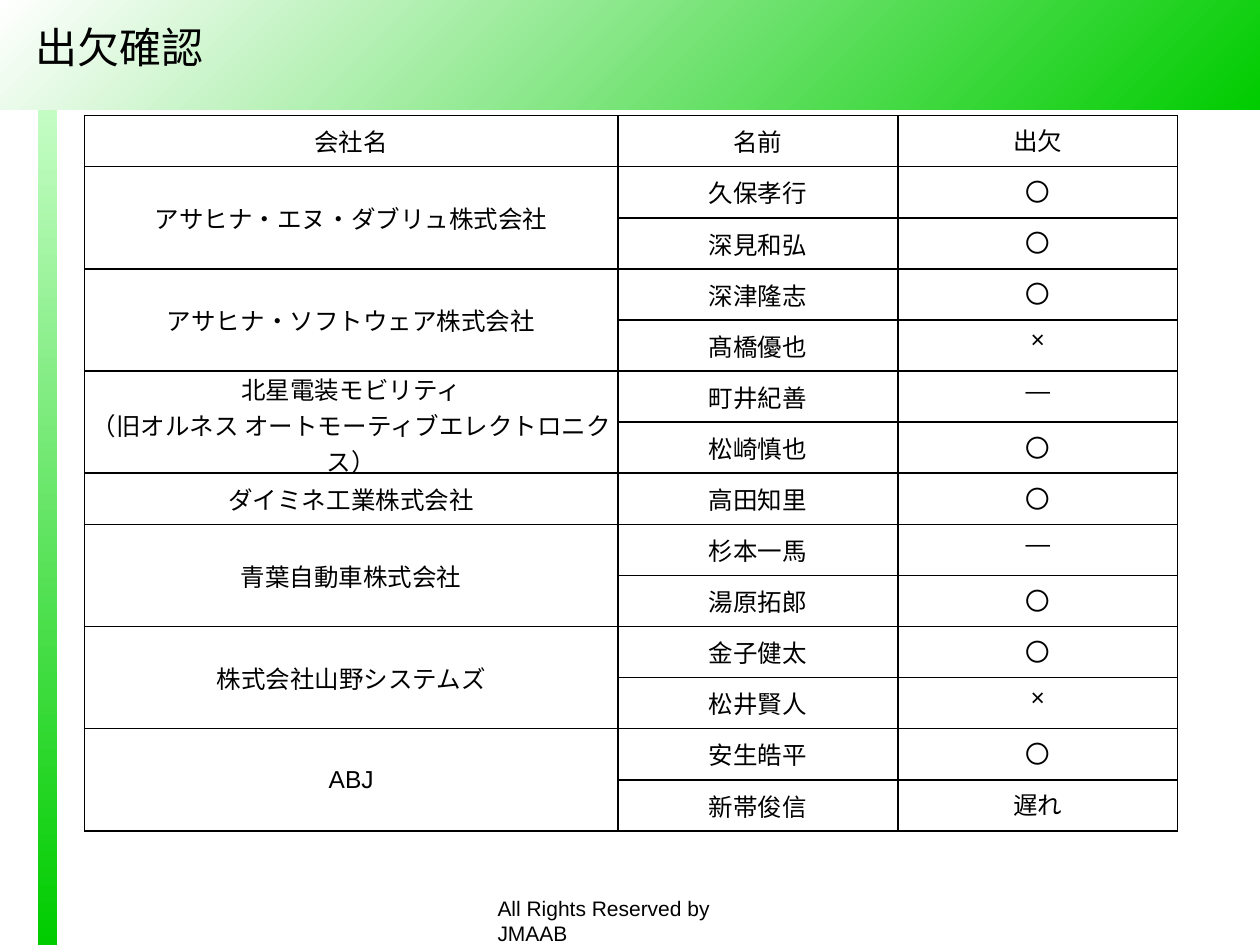
import pptx
import pptx.util
import pptx.dml.color
import pptx.enum.shapes
import pptx.enum.text
import pptx.oxml
import pptx.oxml.ns

Cm = pptx.util.Cm
ANCHOR = pptx.enum.text.MSO_ANCHOR
SANS = "Noto Sans CJK JP"
HEADS = ["会社名", "名前", "出欠"]
COMPANIES = [
    (["アサヒナ・エヌ・ダブリュ株式会社"], [("久保孝行", "〇"), ("深見和弘", "〇")]),
    (["アサヒナ・ソフトウェア株式会社"], [("深津隆志", "〇"), ("髙橋優也", "×")]),
    (["北星電装モビリティ", "（旧オルネス オートモーティブエレクトロニクス）"],
     [("町井紀善", "―"), ("松崎慎也", "〇")]),
    (["ダイミネ工業株式会社"], [("高田知里", "〇")]),
    (["青葉自動車株式会社"], [("杉本一馬", "―"), ("湯原拓郎", "〇")]),
    (["株式会社山野システムズ"], [("金子健太", "〇"), ("松井賢人", "×")]),
    (["ABJ"], [("安生皓平", "〇"), ("新帯俊信", "遅れ")]),
]


def color(value):
    """Return the colour for a hex string."""
    return pptx.dml.color.RGBColor.from_string(value)


def apply(target, formats):
    """Set each format value on the target."""
    for name, value in formats.items():
        setattr(target, name, value)


def write(tf, lines, size, font="Arial", align=pptx.enum.text.PP_ALIGN.LEFT):
    """Fill a text frame with one paragraph per line."""
    for i, line in enumerate(lines):
        p = tf.paragraphs[0] if i == 0 else tf.add_paragraph()
        p.alignment = align
        r = p.add_run()
        r.text = line
        apply(r.font, {"size": pptx.util.Pt(size), "name": font})
        r.font.color.rgb = color("000000")
        ea = pptx.oxml.parse_xml(
            f'<a:ea {pptx.oxml.ns.nsdecls("a")} typeface="{SANS}"/>')
        r.font._element.find(pptx.oxml.ns.qn("a:latin")).addnext(ea)


def add_band(s, box, start, end, angle):
    """Draw a rectangle with a two-colour gradient."""
    sp = s.shapes.add_shape(pptx.enum.shapes.MSO_SHAPE.RECTANGLE, *map(Cm, box))
    sp.shadow.inherit = False
    sp.line.fill.background()
    sp.fill.gradient()
    sp.fill.gradient_angle = angle
    for stop, value in zip(sp.fill.gradient_stops, (start, end)):
        stop.color.rgb = color(value)


def add_text(s, box, text, size, font, anchor):
    """Place one line of text in a wrapping box."""
    tf = s.shapes.add_textbox(*map(Cm, box)).text_frame
    apply(tf, {"word_wrap": True, "vertical_anchor": anchor})
    write(tf, [text], size, font)


def add_borders(cell):
    """Give a cell a thin black line on every side."""
    tc_pr = cell._tc.get_or_add_tcPr()
    for side in "LRTB":
        tc_pr.append(pptx.oxml.parse_xml(
            f'<a:ln{side} {pptx.oxml.ns.nsdecls("a")} w="12700"><a:solidFill>'
            f'<a:srgbClr val="000000"/></a:solidFill></a:ln{side}>'))


def fill_cell(cell, lines, tight=True):
    """Write centred text, without margins when tight."""
    if tight:
        margins = ("margin_left", "margin_right", "margin_top", "margin_bottom")
        apply(cell, dict.fromkeys(margins, 0))
        cell.vertical_anchor = ANCHOR.MIDDLE
    write(cell.text_frame, lines, 14, align=pptx.enum.text.PP_ALIGN.CENTER)


def add_attendance(s, box):
    """Build the attendance table with one merged cell per company."""
    count = 1 + sum(len(people) for _, people in COMPANIES)
    left, top, width, height = box
    table = s.shapes.add_table(count, 3, *map(Cm, box)).table
    apply(table, {"first_row": False, "horz_banding": False})
    side = 5.64
    for col, size in zip(table.columns, (width - 2 * side, side, side)):
        col.width = Cm(size)
    for row in table.rows:
        row.height = Cm(height / count)
    for cell in table.iter_cells():
        add_borders(cell)
        cell.fill.background()
    for i, head in enumerate(HEADS):
        fill_cell(table.cell(0, i), [head], i < 2)
    row = 1
    for lines, people in COMPANIES:
        first = table.cell(row, 0)
        if len(people) > 1:
            first.merge(table.cell(row + len(people) - 1, 0))
        fill_cell(first, lines)
        for name, status in people:
            fill_cell(table.cell(row, 1), [name])
            fill_cell(table.cell(row, 2), [status], False)
            row += 1


def main():
    """Build and save the attendance slide."""
    prs = pptx.Presentation()
    apply(prs, {"slide_width": Cm(25.4), "slide_height": Cm(19.05)})
    s = prs.slides.add_slide(prs.slide_layouts[6])
    add_band(s, (0.76, 1.52, 0.4, 17.53), "CCFFCC", "00CC00", 270)
    add_band(s, (0, 0, 25.4, 2.21), "FFFFFF", "00CC00", 315)
    add_text(s, (9.78, 17.93, 6.3, 0.76), "All Rights Reserved by JMAAB",
             12, "Arial", ANCHOR.TOP)
    add_text(s, (0.46, 0.36, 17.42, 1.17), "出欠確認", 24, SANS, ANCHOR.MIDDLE)
    add_attendance(s, (1.7, 2.33, 22.04, 14.42))
    prs.save("out.pptx")


if __name__ == "__main__":
    main()
